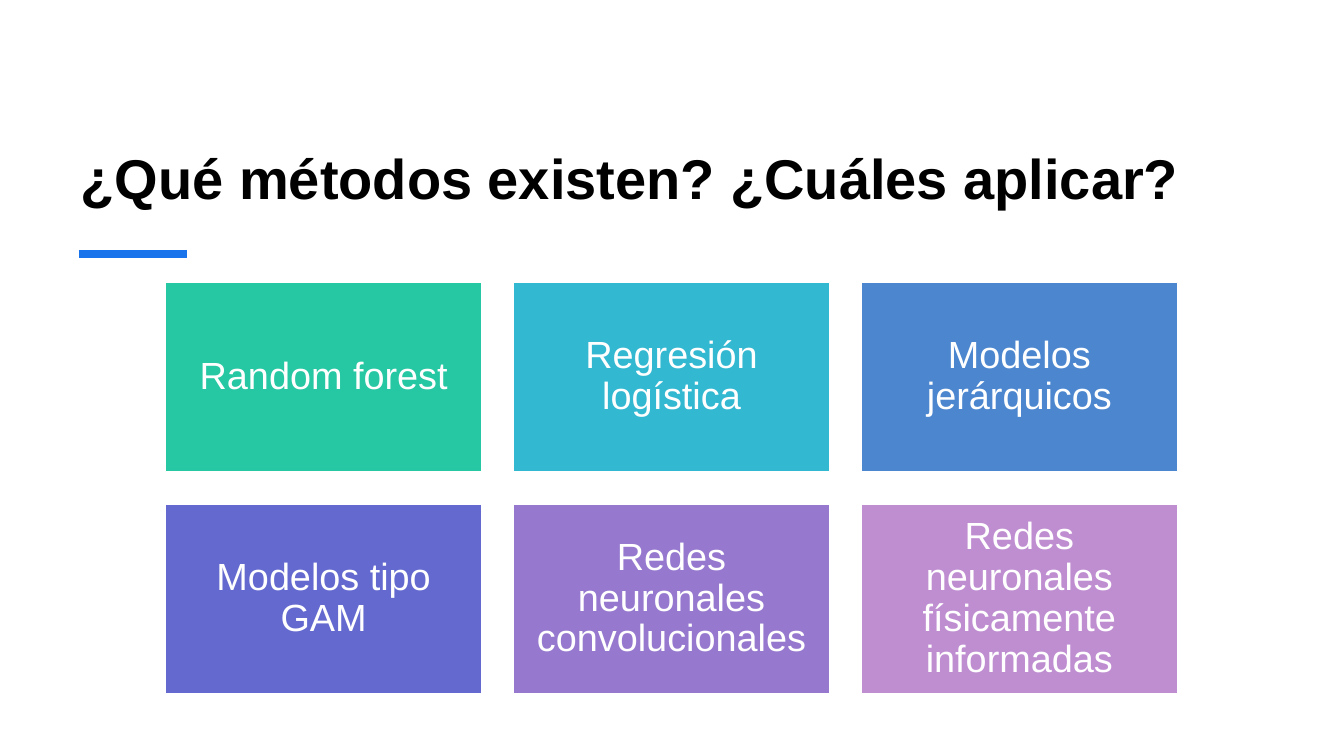
from dataclasses import dataclass

from lxml.etree import SubElement
from pptx import Presentation
from pptx.dml.color import RGBColor
from pptx.enum.shapes import MSO_CONNECTOR, MSO_SHAPE
from pptx.enum.text import MSO_ANCHOR, MSO_AUTO_SIZE, PP_ALIGN
from pptx.oxml.ns import qn
from pptx.slide import Slide
from pptx.text.text import Font
from pptx.util import Emu, Pt

EMU_PER_PX = 9144
COLUMNS = 3
GRID_LEFT, GRID_TOP = 164, 280
CARD_WIDTH, CARD_HEIGHT = 314, 188
COLUMN_PITCH, ROW_PITCH = 345, 220
CARD_INSET = 11


@dataclass(frozen=True)
class Method:
    name: str
    fill: str


METHODS = [
    Method("Random forest", "25C8A2"),
    Method("Regresión logística", "33B8D1"),
    Method("Modelos jerárquicos", "4B86CF"),
    Method("Modelos tipo GAM", "6369CF"),
    Method("Redes neuronales convolucionales", "9679CF"),
    Method("Redes neuronales físicamente informadas", "BF8ED1"),
]


def px(length: int) -> Emu:
    return Emu(length * EMU_PER_PX)


def color(value: str) -> RGBColor:
    return RGBColor.from_string(value)


def set_font(font: Font, size: int, value: str, bold: bool = False) -> None:
    font.name = "Arial"
    font.size = Pt(size)
    font.bold = bold
    font.color.rgb = color(value)


def add_title(s: Slide, text: str) -> None:
    sp = s.shapes.title
    sp.left, sp.top, sp.width, sp.height = px(70), px(62), px(1191), px(152)
    tf = sp.text_frame
    tf.text = text
    tf.word_wrap = True
    tf.auto_size = MSO_AUTO_SIZE.NONE
    tf.vertical_anchor = MSO_ANCHOR.BOTTOM
    p = tf.paragraphs[0]
    p.alignment = PP_ALIGN.LEFT
    set_font(p.font, 40, "000000", bold=True)


def add_accent(s: Slide) -> None:
    line = s.shapes.add_connector(
        MSO_CONNECTOR.STRAIGHT, px(78), px(252), px(185), px(252)
    )
    line.line.color.rgb = color("1973EB")
    line.line.width = Pt(6)
    SubElement(line._element.spPr, qn("a:effectLst"))


def add_card(s: Slide, method: Method, left: int, top: int) -> None:
    sp = s.shapes.add_shape(
        MSO_SHAPE.RECTANGLE, px(left), px(top), px(CARD_WIDTH), px(CARD_HEIGHT)
    )
    sp.shadow.inherit = False
    sp.fill.solid()
    sp.fill.fore_color.rgb = color(method.fill)
    sp.line.color.rgb = color("FFFFFF")
    sp.line.width = Pt(1)
    tf = sp.text_frame
    tf.text = method.name
    tf.word_wrap = True
    tf.vertical_anchor = MSO_ANCHOR.MIDDLE
    tf.margin_left = tf.margin_right = px(CARD_INSET)
    tf.margin_top = tf.margin_bottom = px(CARD_INSET)
    p = tf.paragraphs[0]
    p.alignment = PP_ALIGN.CENTER
    p.line_spacing = 0.9
    set_font(p.font, 27, "FFFFFF")


def main() -> None:
    prs = Presentation()
    prs.slide_width, prs.slide_height = px(1333), px(750)
    s = prs.slides.add_slide(prs.slide_layouts.get_by_name("Title Only"))
    add_title(s, "¿Qué métodos existen? ¿Cuáles aplicar?")
    add_accent(s)
    for i, method in enumerate(METHODS):
        row, column = divmod(i, COLUMNS)
        add_card(
            s, method, GRID_LEFT + column * COLUMN_PITCH, GRID_TOP + row * ROW_PITCH
        )
    prs.save("out.pptx")


if __name__ == "__main__":
    main()
